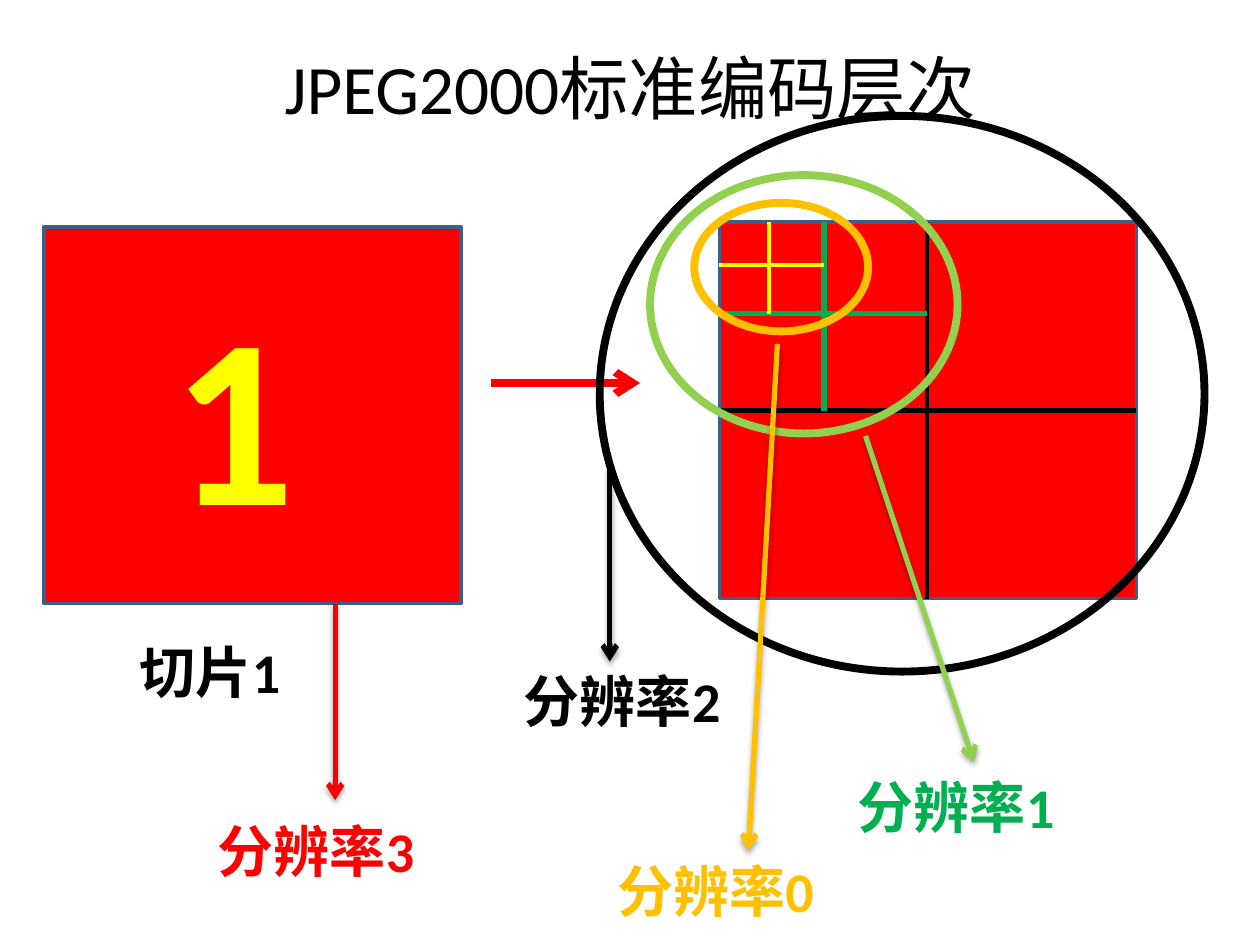
"""Build a slide on the resolution levels of JPEG2000 tile coding."""
from lxml.etree import SubElement
from pptx import Presentation
from pptx.dml.color import RGBColor
from pptx.enum.shapes import MSO_CONNECTOR, MSO_SHAPE
from pptx.enum.text import MSO_ANCHOR, MSO_AUTO_SIZE, PP_ALIGN
from pptx.oxml.ns import qn
from pptx.util import Inches, Pt

COLORS = {
    "red": "FF0000", "border": "3A5F8C", "black": "000000", "yellow": "FFFF00",
    "green": "00B050", "lime": "92D050", "orange": "FFC000",
}
RGB = {name: RGBColor.from_string(value) for name, value in COLORS.items()}

prs = Presentation()
prs.slide_width, prs.slide_height = Inches(10), Inches(7.5)
slide = prs.slides.add_slide(prs.slide_layouts[5])
shapes = slide.shapes


def add_line(x1, y1, x2, y2, color, width, arrow=False, shadow=False):
    s = shapes.add_connector(MSO_CONNECTOR.STRAIGHT, Inches(x1), Inches(y1), Inches(x2), Inches(y2))
    s.line.color.rgb = RGB[color]
    s.line.width = Pt(width)
    sp_pr = s._element.spPr
    if arrow:
        SubElement(sp_pr.find(qn("a:ln")), qn("a:tailEnd"), type="arrow")
    effects = SubElement(sp_pr, qn("a:effectLst"))
    if shadow:
        outer = SubElement(effects, qn("a:outerShdw"), blurRad=str(Pt(3.1)), dist=str(Pt(1.8)),
                           dir="5400000", rotWithShape="0")
        black = SubElement(outer, qn("a:srgbClr"), val=COLORS["black"])
        SubElement(black, qn("a:alpha"), val="35000")


def add_text(text, x, y, w, h, color, size):
    tf = shapes.add_textbox(Inches(x), Inches(y), Inches(w), Inches(h)).text_frame
    tf.word_wrap = True
    tf.auto_size = MSO_AUTO_SIZE.SHAPE_TO_FIT_TEXT
    p = tf.paragraphs[0]
    p.text = text
    p.font.name, p.font.size, p.font.bold = "Calibri", Pt(size), True
    p.font.color.rgb = RGB[color]


title = shapes.title
title.left, title.top, title.width, title.height = Inches(0.5), Inches(0.3), Inches(9), Inches(0.77)
tf = title.text_frame
tf.vertical_anchor = MSO_ANCHOR.MIDDLE
p = tf.paragraphs[0]
p.text = "JPEG2000标准编码层次"
p.alignment = PP_ALIGN.CENTER
p.font.name, p.font.size = "Calibri", Pt(39.6)
p.font.color.rgb = RGB["black"]

left, top = 5.71, 1.76
for x, y in [(0.35, 1.8), (left, top)]:
    s = shapes.add_shape(MSO_SHAPE.RECTANGLE, Inches(x), Inches(y), Inches(3.31), Inches(2.99))
    s.shadow.inherit = False
    s.fill.solid()
    s.fill.fore_color.rgb = RGB["red"]
    s.line.color.rgb = RGB["border"]
    s.line.width = Pt(2)

add_text("1", 1.27, 2.05, 1.52, 2.42, "yellow", 138)
add_line(3.9, 3.04, 5.08, 3.04, "red", 4.5, arrow=True)

splits = [
    ("black", 9.02, 4.75, 7.36, 3.26, 3, 2.25),
    ("green", 7.36, 3.26, 6.54, 2.49, 3, 3),
    ("yellow", 6.54, 2.49, 6.1, 2.1, 2.25, 2.25),
]
for color, right, bottom, mid_x, mid_y, row_width, column_width in splits:
    add_line(left, mid_y, right, mid_y, color, row_width)
    add_line(mid_x, top, mid_x, bottom, color, column_width)

rings = [
    ("black", 4.76, 0.92, 4.8, 4.41),
    ("lime", 5.16, 1.39, 2.44, 2.05),
    ("orange", 5.51, 1.61, 1.38, 1.02),
]
for color, x, y, w, h in rings:
    s = shapes.add_shape(MSO_SHAPE.OVAL, Inches(x), Inches(y), Inches(w), Inches(h))
    s.shadow.inherit = False
    s.fill.background()
    s.line.color.rgb = RGB[color]
    s.line.width = Pt(4.5)

pointers = [
    ("red", 2.66, 4.79, 2.66, 6.35),
    ("black", 4.84, 3.7, 4.84, 5.25),
    ("lime", 6.87, 3.46, 7.73, 6.05),
    ("orange", 6.17, 2.73, 5.94, 6.75),
]
for color, x1, y1, x2, y2 in pointers:
    add_line(x1, y1, x2, y2, color, 3, arrow=True, shadow=True)

labels = [
    ("切片1", 1.01, 5.01, "black"),
    ("分辨率3", 1.63, 6.43, "red"),
    ("分辨率2", 4.06, 5.24, "black"),
    ("分辨率1", 6.71, 6.08, "green"),
    ("分辨率0", 4.8, 6.75, "orange"),
]
for text, x, y, color in labels:
    add_text(text, x, y, 2.05, 0.64, color, 32)

prs.save("out.pptx")
